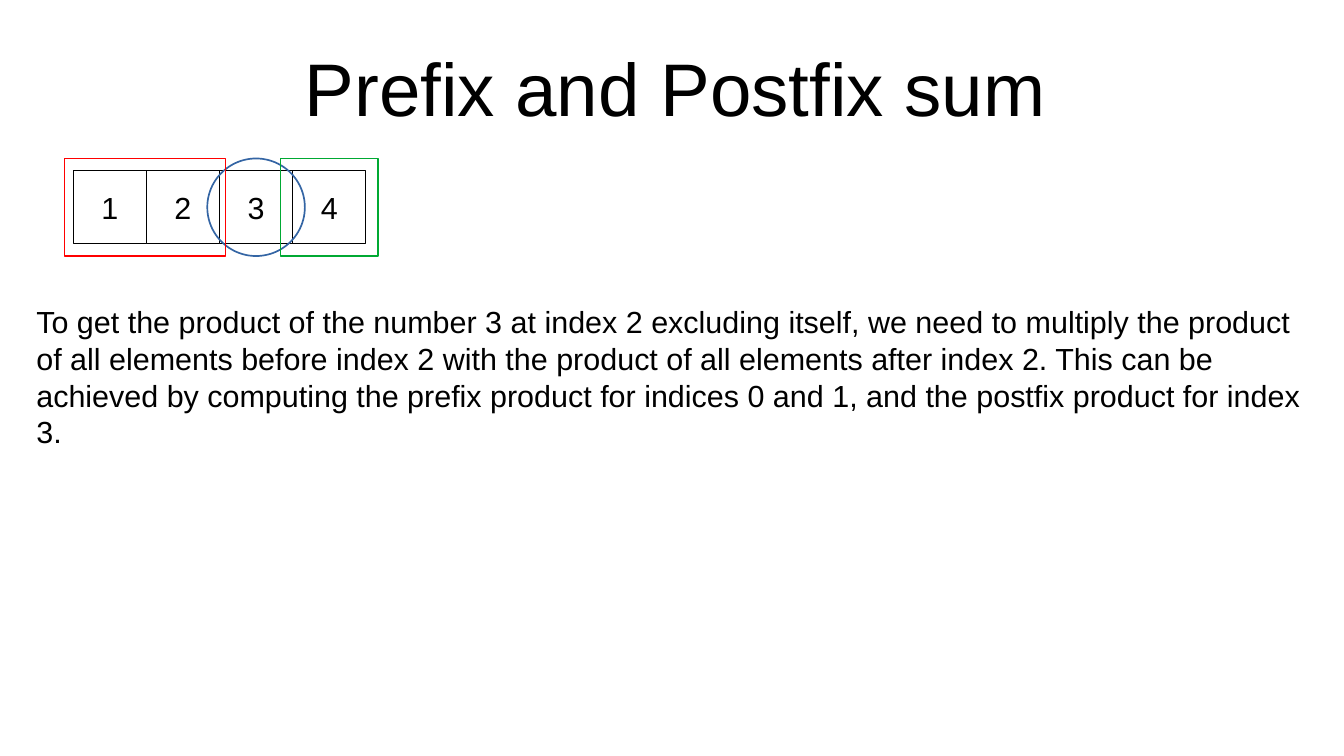
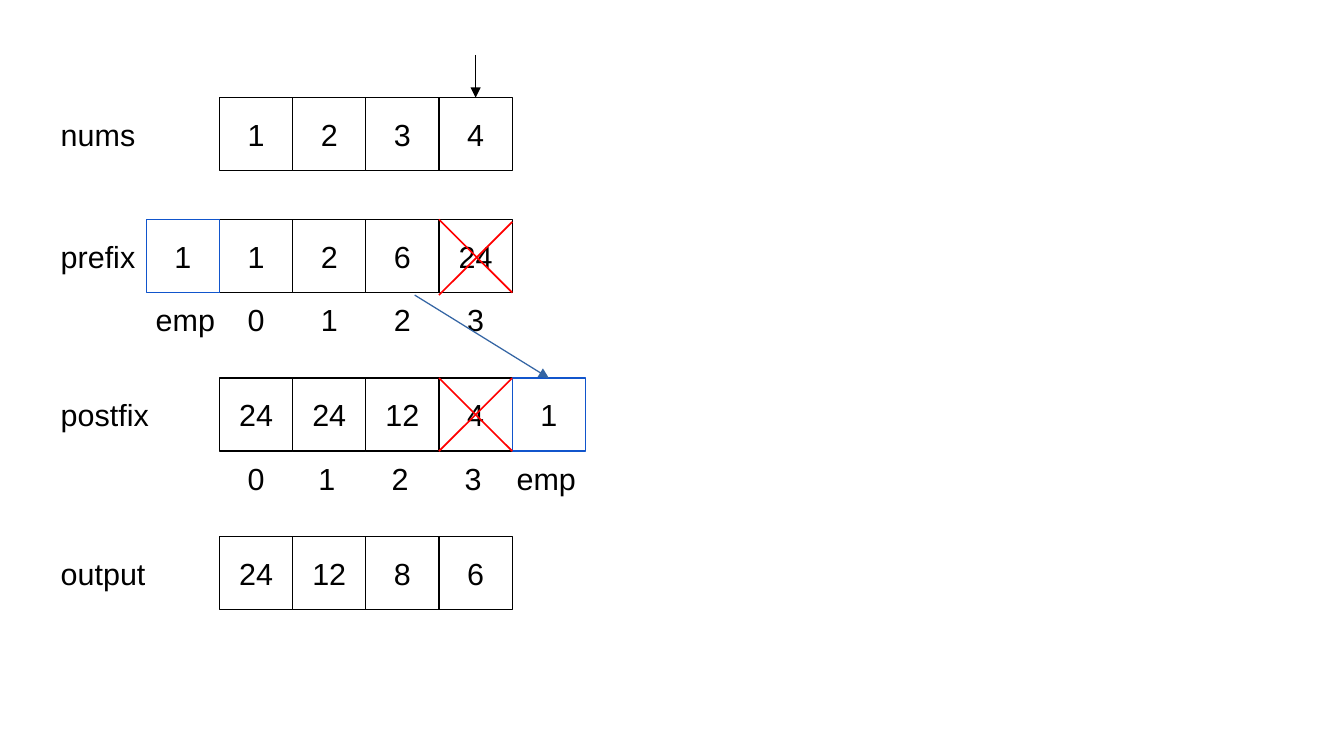
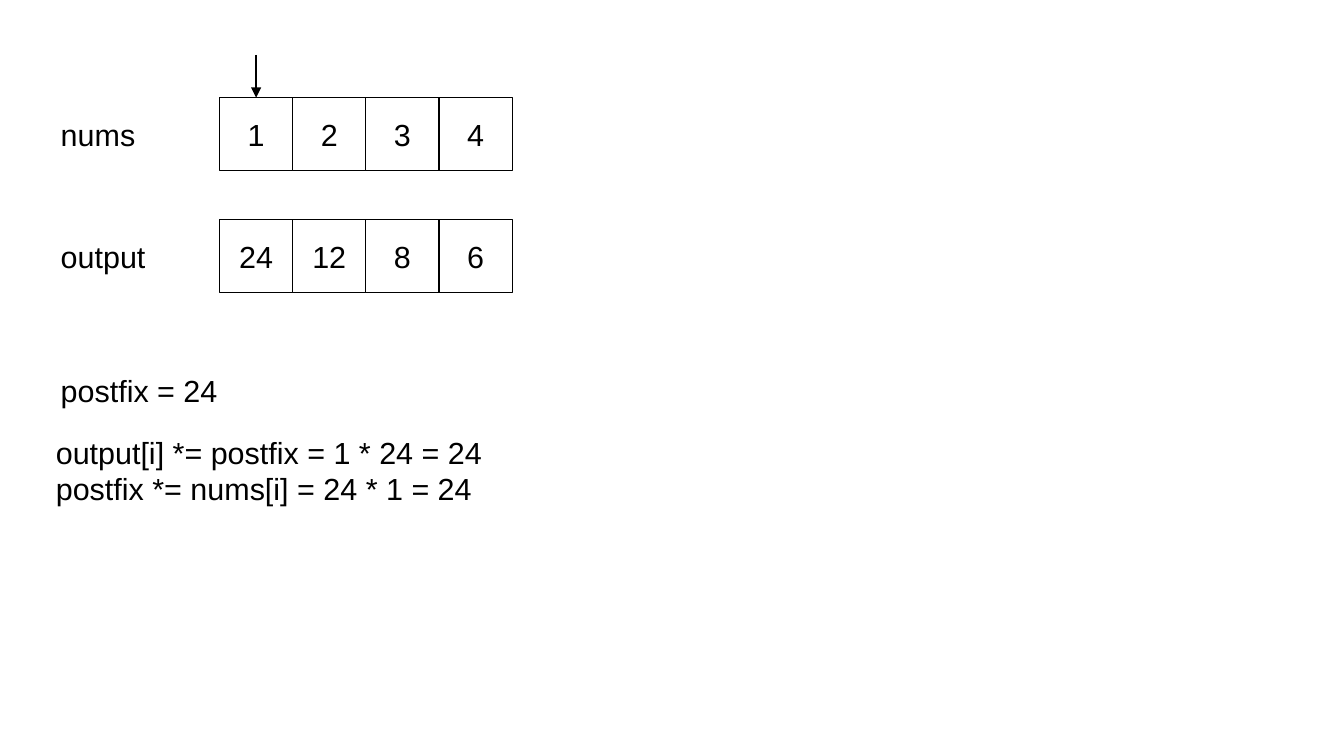
from dataclasses import dataclass
from typing import Optional

from lxml.etree import SubElement
from pptx import Presentation
from pptx.dml.color import RGBColor
from pptx.enum.shapes import MSO_CONNECTOR, MSO_SHAPE
from pptx.enum.text import MSO_ANCHOR, MSO_AUTO_SIZE, PP_ALIGN
from pptx.oxml.ns import qn
from pptx.util import Inches, Pt


@dataclass(frozen=True)
class Theme:
    font: str = "Arial"
    ink: str = "000000"
    paper: str = "FFFFFF"
    red: str = "FF0000"
    green: str = "00A933"
    blue: str = "3465A4"
    edge: str = "1155CC"
    title: int = 44
    text: int = 18
    thin: float = 0.75
    mark: float = 1


@dataclass(frozen=True)
class Cells:
    values: tuple[str, ...]
    col: int
    top: float
    color: str = "000000"


@dataclass(frozen=True)
class Labels:
    values: tuple[str, ...]
    col: int
    top: float
    nudge: float = 0


@dataclass(frozen=True)
class Mark:
    kind: MSO_SHAPE
    box: tuple[float, float, float, float]
    color: str


@dataclass(frozen=True)
class Line:
    start: tuple[float, float]
    end: tuple[float, float]
    color: str
    width: float
    arrow: bool = False


T = Theme()
WIDTH, HEIGHT = 11.02, 6.2
CELL = 0.6
FIRST = 3
LABEL = 0.4
NUMS = ("1", "2", "3", "4")
OUTPUT = ("24", "12", "8", "6")
INDICES = ("0", "1", "2", "3")


def write(tf, lines: tuple[str, ...], size: int = T.text, **layout) -> None:
    for name, value in layout.items():
        setattr(tf, name, value)
    for i, line in enumerate(lines):
        p = tf.paragraphs[0] if i == 0 else tf.add_paragraph()
        p.alignment = PP_ALIGN.CENTER if layout.get("vertical_anchor") else PP_ALIGN.LEFT
        r = p.add_run()
        r.text = line
        for name, value in {"name": T.font, "size": Pt(size)}.items():
            setattr(r.font, name, value)
        r.font.color.rgb = RGBColor.from_string(T.ink)


def add_title(s, text: str) -> None:
    title = s.shapes.title
    frame = {"left": 0.58, "top": 0.2, "width": 9.92, "height": 1.03}
    for name, value in frame.items():
        setattr(title, name, Inches(value))
    margins = {f"margin_{side}": 0 for side in ("left", "top", "right", "bottom")}
    write(title.text_frame, (text,), T.title, word_wrap=True, auto_size=MSO_AUTO_SIZE.NONE,
          vertical_anchor=MSO_ANCHOR.MIDDLE, **margins)


def add_text(s, box: tuple[float, float, float, float], *lines: str) -> None:
    sp = s.shapes.add_textbox(*map(Inches, box))
    write(sp.text_frame, lines, word_wrap=True)


def add_box(s, kind: MSO_SHAPE, box: tuple[float, float, float, float],
            line: Optional[str] = None, width: float = T.thin, text: str = "") -> None:
    sp = s.shapes.add_shape(kind, *map(Inches, box))
    sp.shadow.inherit = False
    if line:
        sp.line.color.rgb = RGBColor.from_string(line)
        sp.line.width = Pt(width)
    else:
        sp.line.fill.background()
    if text:
        sp.fill.solid()
        sp.fill.fore_color.rgb = RGBColor.from_string(T.paper)
        write(sp.text_frame, (text,), word_wrap=False, vertical_anchor=MSO_ANCHOR.MIDDLE)
    else:
        sp.fill.background()


def add_cells(s, row: Cells) -> None:
    for col, value in enumerate(row.values, row.col):
        add_box(s, MSO_SHAPE.RECTANGLE, (col * CELL, row.top, CELL, CELL), row.color, text=value)


def add_labels(s, row: Labels) -> None:
    inset = (CELL - LABEL) / 2 + row.nudge
    for col, value in enumerate(row.values, row.col):
        box = (col * CELL + inset, row.top + CELL + 0.02, LABEL, LABEL)
        add_box(s, MSO_SHAPE.RECTANGLE, box, text=value)


def add_array(s, name: str, values: tuple[str, ...], top: float) -> None:
    add_cells(s, Cells(values, FIRST, top))
    add_text(s, (0.4, top + 0.1, 1, 0.4), name)


def add_line(s, line: Line) -> None:
    ends = map(Inches, (*line.start, *line.end))
    cx = s.shapes.add_connector(MSO_CONNECTOR.STRAIGHT, *ends)
    cx.line.color.rgb = RGBColor.from_string(line.color)
    cx.line.width = Pt(line.width)
    if line.arrow:
        SubElement(cx.line._get_or_add_ln(), qn("a:tailEnd"), type="triangle")
    SubElement(cx._element.spPr, qn("a:effectLst"))


def add_pointer(s, index: int) -> None:
    x = (FIRST + index + 0.5) * CELL
    add_line(s, Line((x, 0.45), (x, 0.8), T.ink, T.thin, True))


def add_cross(s, col: int, top: float, drop: float = 0) -> None:
    left, right, bottom = col * CELL, (col + 1) * CELL, top + CELL
    add_line(s, Line((left, top), (right, bottom), T.red, T.mark))
    add_line(s, Line((left, bottom + drop), (right, top + drop), T.red, T.mark))


def build_intro(s) -> None:
    add_title(s, "Prefix and Postfix sum")
    add_cells(s, Cells(NUMS, 1, 1.4))
    add_text(s, (0.2, 2.44, 10.6, 1.16),
             "To get the product of the number 3 at index 2 excluding itself, we need to "
             "multiply the product of all elements before index 2 with the product of all "
             "elements after index 2. This can be achieved by computing the prefix product "
             "for indices 0 and 1, and the postfix product for index 3.")
    marks = (
        Mark(MSO_SHAPE.OVAL, (1.7, 1.3, 0.8, 0.8), T.blue),
        Mark(MSO_SHAPE.RECTANGLE, (0.53, 1.3, 1.32, 0.8), T.red),
        Mark(MSO_SHAPE.RECTANGLE, (2.3, 1.3, 0.8, 0.8), T.green),
    )
    for mark in marks:
        add_box(s, mark.kind, mark.box, mark.color, T.mark)


def build_arrays(s) -> None:
    prefix_top, postfix_top = 1.8, 3.1
    add_array(s, "nums", NUMS, 0.8)
    add_array(s, "prefix", ("1", "2", "6", "24"), prefix_top)
    add_array(s, "postfix", ("24", "24", "12", "4"), postfix_top)
    add_array(s, "output", OUTPUT, 4.4)
    add_pointer(s, 3)
    for row in (
        Labels(("emp",), 2, prefix_top, 0.02),
        Labels(INDICES, 3, prefix_top),
        Labels(INDICES[:1], 3, postfix_top),
        Labels((*INDICES[1:], "emp"), 4, postfix_top, -0.02),
    ):
        add_labels(s, row)
    add_cells(s, Cells(("1",), 2, prefix_top, T.edge))
    add_cells(s, Cells(("1",), 7, postfix_top, T.edge))
    add_line(s, Line((3.4, 2.42), (4.5, postfix_top), T.blue, T.thin, True))
    add_cross(s, 6, prefix_top, 0.02)
    add_cross(s, 6, postfix_top)


def build_result(s) -> None:
    add_array(s, "nums", NUMS, 0.8)
    add_array(s, "output", OUTPUT, 1.8)
    add_pointer(s, 0)
    add_text(s, (0.36, 3.51, 3.84, 0.94),
             "output[i] *= postfix = 1 * 24 = 24", "postfix *= nums[i] = 24 * 1 = 24")
    add_text(s, (0.4, 3, 1.6, 0.4), "postfix = 24")


def main() -> None:
    prs = Presentation()
    prs.slide_width, prs.slide_height = Inches(WIDTH), Inches(HEIGHT)
    title_only, blank = prs.slide_layouts[5], prs.slide_layouts[6]
    for layout, build in ((title_only, build_intro), (blank, build_arrays), (blank, build_result)):
        build(prs.slides.add_slide(layout))
    prs.save("out.pptx")


if __name__ == "__main__":
    main()
